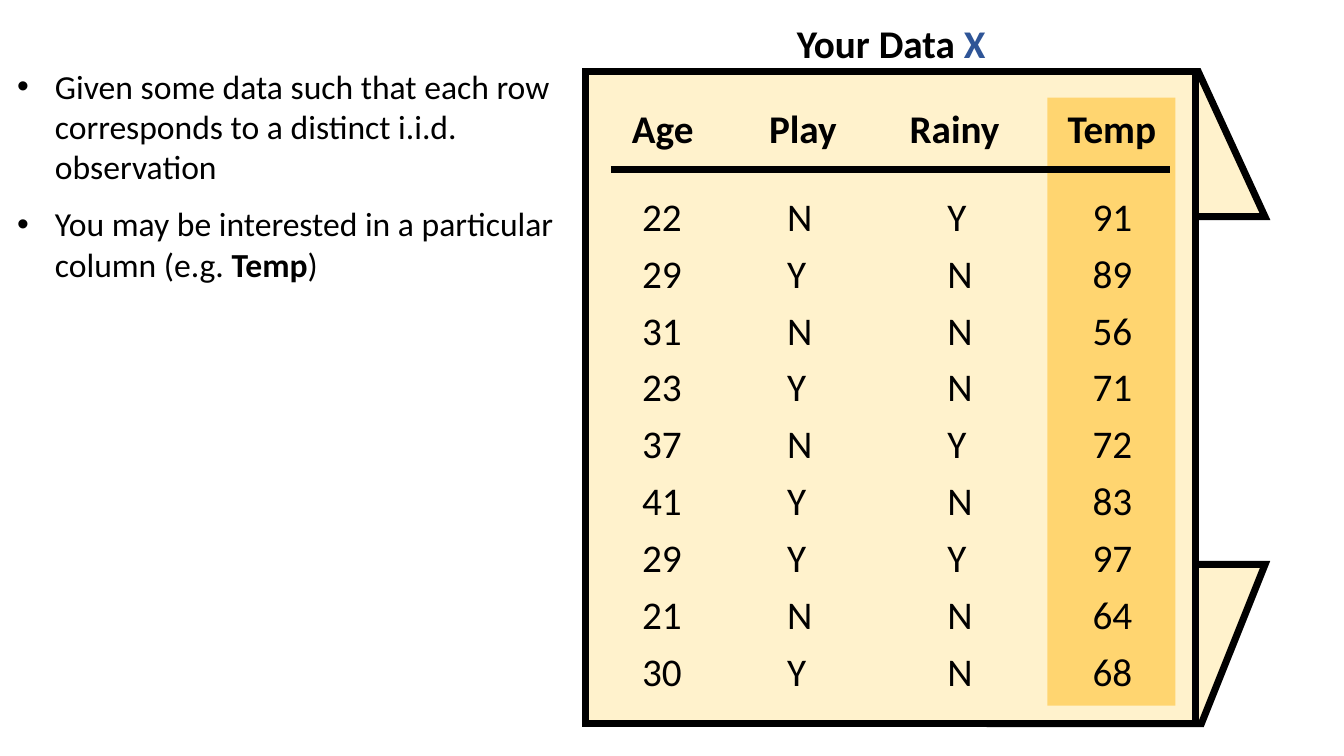
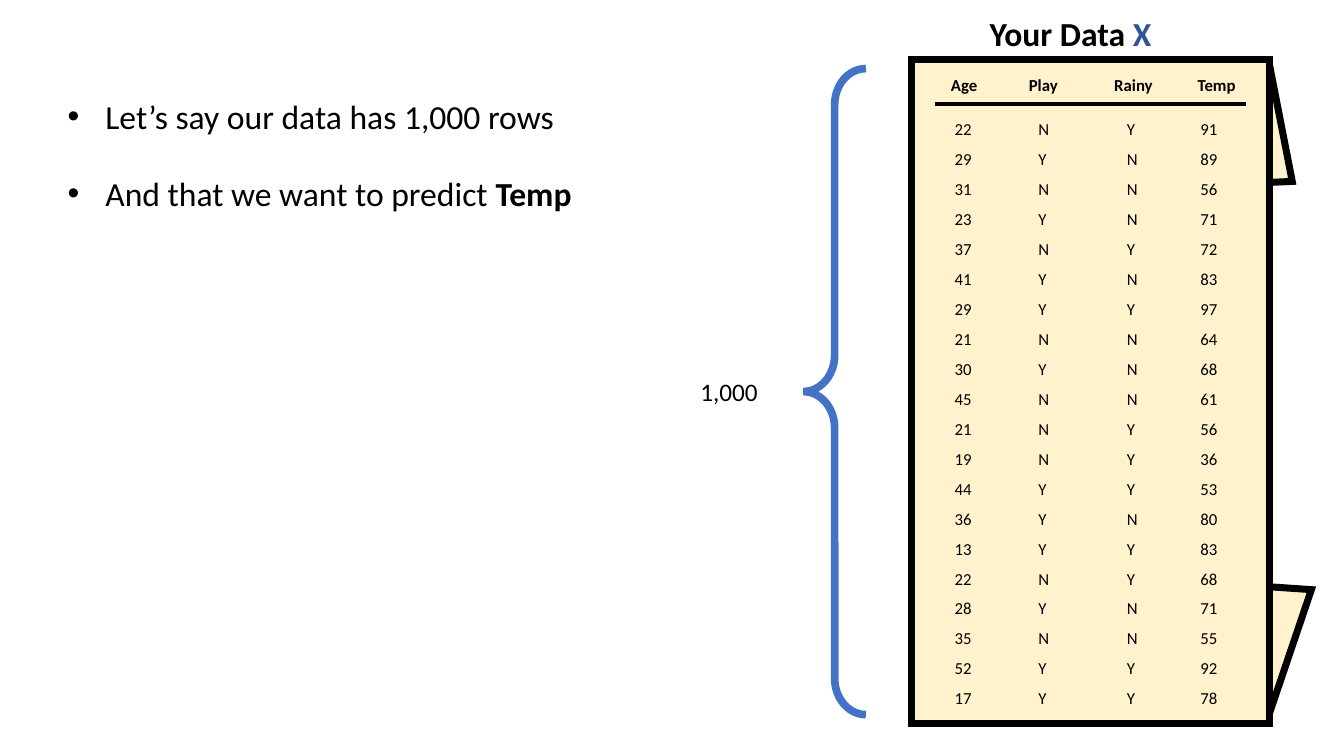
"""Build two slides that introduce a data sheet with a column to predict."""
import dataclasses

import pptx
import pptx.dml.color
import pptx.enum.shapes
import pptx.enum.text
import pptx.oxml
import pptx.oxml.ns
import pptx.util


@dataclasses.dataclass(frozen=True)
class Theme:
    font: str = "Calibri"
    ink: str = "000000"
    paper: str = "FFF2CC"
    highlight: str = "FFD570"
    letter: str = "2F5597"
    brace: str = "4472C4"
    list_size: int = 24
    label_size: int = 18
    outline: float = 5
    brace_outline: float = 5.5


theme = Theme()
grid = pptx.util.Inches(0.1)
preset = pptx.enum.shapes.MSO_SHAPE
align = pptx.enum.text.PP_ALIGN
anchor = pptx.enum.text.MSO_ANCHOR

looks = {
    "paper": (theme.paper, theme.ink, theme.outline),
    "highlight": (theme.highlight, None, 0),
    "brace": (None, theme.brace, theme.brace_outline),
}

headings = ["Age", "Play", "Rainy", "Temp"]
records = list(zip(
    "22 29 31 23 37 41 29 21 30 45 21 19 44 36 13 22 28 35 52 17".split(),
    "N Y N Y N Y Y N Y N N N Y Y Y N Y N Y Y".split(),
    "Y N N N Y N Y N N N Y Y Y N Y Y N N Y Y".split(),
    "91 89 56 71 72 83 97 64 68 61 56 36 53 80 83 68 71 55 92 78".split(),
))

slides = [
    {
        "title": (75.6, 1.4, 25.6, 5.7),
        "title_size": 28,
        "list": (0.7, 6, 55.9, 22.9),
        "line_spacing": 1.0,
        "points": [
            [("Given some data such that each row corresponds to a distinct i.i.d. observation", False)],
            [("You may be interested in a particular column (e.g. ", False), ("Temp", True), (")", False)],
        ],
        "shapes": [
            (preset.PARALLELOGRAM, (83.2, 7.1, 42.3, 14.4), [0.46], True, "paper"),
            (preset.PARALLELOGRAM, (98.4, 56, 27.1, 15.8), [0.4], False, "paper"),
            (preset.RECTANGLE, (58.1, 7.1, 60.5, 64.7), [], False, "paper"),
            (preset.RECTANGLE, (103.9, 9.7, 12.7, 60.3), [], False, "highlight"),
        ],
        "edges": [58.8, 72.7, 86.6, 102.8, 117.8],
        "indents": [4.9, 5.4, 7.4, 5.6],
        "header": (10, 8.8),
        "body_height": 50.8,
        "rows": 9,
        "table_size": 28,
        "rule": (60.6, 16.8, 116.1, 16.8),
        "rule_width": 5,
        "label": None,
    },
    {
        "title": (90.4, 0.8, 31.6, 5),
        "title_size": 24,
        "list": (5.7, 7, 64.3, 14.3),
        "line_spacing": 1.5,
        "points": [
            [("Let’s say our data has 1,000 rows", False)],
            [("And that we want to predict ", False), ("Temp", True)],
        ],
        "shapes": [
            (None, (128.2, 18, 125.9, 6.2, 119.1, 10.4, 121.5, 18.3), [], False, "paper"),
            (None, (124.5, 68.8, 125.7, 58.2, 130.1, 58.5, 125.9, 70.9), [], False, "paper"),
            (preset.RECTANGLE, (90.4, 5.9, 35.5, 65.9), [], False, "paper"),
            (preset.LEFT_BRACE, (79.7, 6.8, 6.2, 64.1), [0.58, 0.5], False, "brace"),
        ],
        "edges": [91.9, 99.4, 107.6, 117.3, 124.1],
        "indents": [2.8, 3.6, 4.2, 1.8],
        "header": (7, 4.4),
        "body_height": 59.5,
        "rows": 20,
        "table_size": 12,
        "rule": (92.8, 10.3, 123.6, 10.3),
        "rule_width": 3.25,
        "label": ("1,000", (68.5, 36.8, 8.6, 4)),
    },
]


def place(*cells):
    return [pptx.util.Emu(round(cell * grid)) for cell in cells]


def write(para, spans, size):
    for text, bold, color in spans:
        span = para.add_run()
        span.text = text
        values = {"name": theme.font, "size": pptx.util.Pt(size), "bold": bold}
        for name, value in values.items():
            setattr(span.font, name, value)
        span.font.color.rgb = pptx.dml.color.RGBColor.from_string(color)


deck = pptx.Presentation()
deck.slide_width, deck.slide_height = place(133.33, 75)

for plan in slides:
    page = deck.slides.add_slide(deck.slide_layouts[1])

    title, points = page.shapes.title, page.placeholders[1]
    for box, cells in ((title, plan["title"]), (points, plan["list"])):
        for name, value in zip(("left", "top", "width", "height"), place(*cells)):
            setattr(box, name, value)
        box.text_frame.auto_size = pptx.enum.text.MSO_AUTO_SIZE.NONE

    para = title.text_frame.paragraphs[0]
    para.alignment = align.CENTER
    write(para, [("Your Data ", True, theme.ink), ("X", True, theme.letter)], plan["title_size"])

    for index, point in enumerate(plan["points"]):
        frame = points.text_frame
        para = frame.add_paragraph() if index else frame.paragraphs[0]
        values = {
            "line_spacing": plan["line_spacing"],
            "space_before": pptx.util.Pt(12 if index else 0),
        }
        for name, value in values.items():
            setattr(para, name, value)
        write(para, [(text, bold, theme.ink) for text, bold in point], theme.list_size)

    for kind, cells, adjustments, flipped, look in plan["shapes"]:
        lengths = place(*cells)
        if kind is None:
            corners = list(zip(lengths[::2], lengths[1::2]))
            builder = page.shapes.build_freeform(*corners[0])
            builder.add_line_segments(corners[1:], close=True)
            shape = builder.convert_to_shape()
        else:
            shape = page.shapes.add_shape(kind, *lengths)
        for index, amount in enumerate(adjustments):
            shape.adjustments[index] = amount
        if flipped:
            shape._element.spPr.find(pptx.oxml.ns.qn("a:xfrm")).set("flipH", "1")
        shape.shadow.inherit = False
        fill, line, width = looks[look]
        for target, color in ((shape.fill, fill), (shape.line.fill, line)):
            if color is None:
                target.background()
            else:
                target.solid()
                target.fore_color.rgb = pptx.dml.color.RGBColor.from_string(color)
        if line:
            shape.line.width = pptx.util.Pt(width)
            outline = shape._element.spPr.find(pptx.oxml.ns.qn("a:ln"))
            miter = pptx.oxml.parse_xml(f'<a:miter {pptx.oxml.ns.nsdecls("a")} lim="800000"/>')
            outline.append(miter)

    edges, rows = plan["edges"], plan["rows"]
    header_top, header_height = plan["header"]
    table = page.shapes.add_table(rows + 1, len(headings), *place(
        edges[0], header_top, edges[-1] - edges[0], header_height + plan["body_height"],
    )).table
    table.first_row = table.horz_banding = False
    table._tbl.tblPr.find(pptx.oxml.ns.qn("a:tableStyleId")).text = "{2D5ABB26-0587-4C30-8999-92F81FD0307C}"
    for column, left, right in zip(table.columns, edges, edges[1:]):
        column.width = place(right - left)[0]
    for row, record in enumerate([headings] + records[:rows]):
        is_header = row == 0
        table.rows[row].height = place(header_height if is_header else plan["body_height"] / rows)[0]
        for index, text in enumerate(record):
            cell = table.cell(row, index)
            values = {
                "margin_left": place(0 if is_header else plan["indents"][index])[0],
                "margin_right": 0,
                "margin_top": place(0.5 if is_header else 0)[0],
                "margin_bottom": 0,
                "vertical_anchor": anchor.TOP if is_header else anchor.MIDDLE,
            }
            for name, value in values.items():
                setattr(cell, name, value)
            cell.fill.background()
            para = cell.text_frame.paragraphs[0]
            para.alignment = align.CENTER if is_header else align.LEFT
            write(para, [(text, is_header, theme.ink)], plan["table_size"])

    rule = page.shapes.add_connector(pptx.enum.shapes.MSO_CONNECTOR.STRAIGHT, *place(*plan["rule"]))
    rule.line.color.rgb = pptx.dml.color.RGBColor.from_string(theme.ink)
    rule.line.width = pptx.util.Pt(plan["rule_width"])
    rule._element.spPr.append(pptx.oxml.parse_xml(f'<a:effectLst {pptx.oxml.ns.nsdecls("a")}/>'))

    if plan["label"]:
        text, cells = plan["label"]
        label = page.shapes.add_textbox(*place(*cells))
        label.text_frame.word_wrap = False
        write(label.text_frame.paragraphs[0], [(text, False, theme.ink)], theme.label_size)

deck.save("out.pptx")
